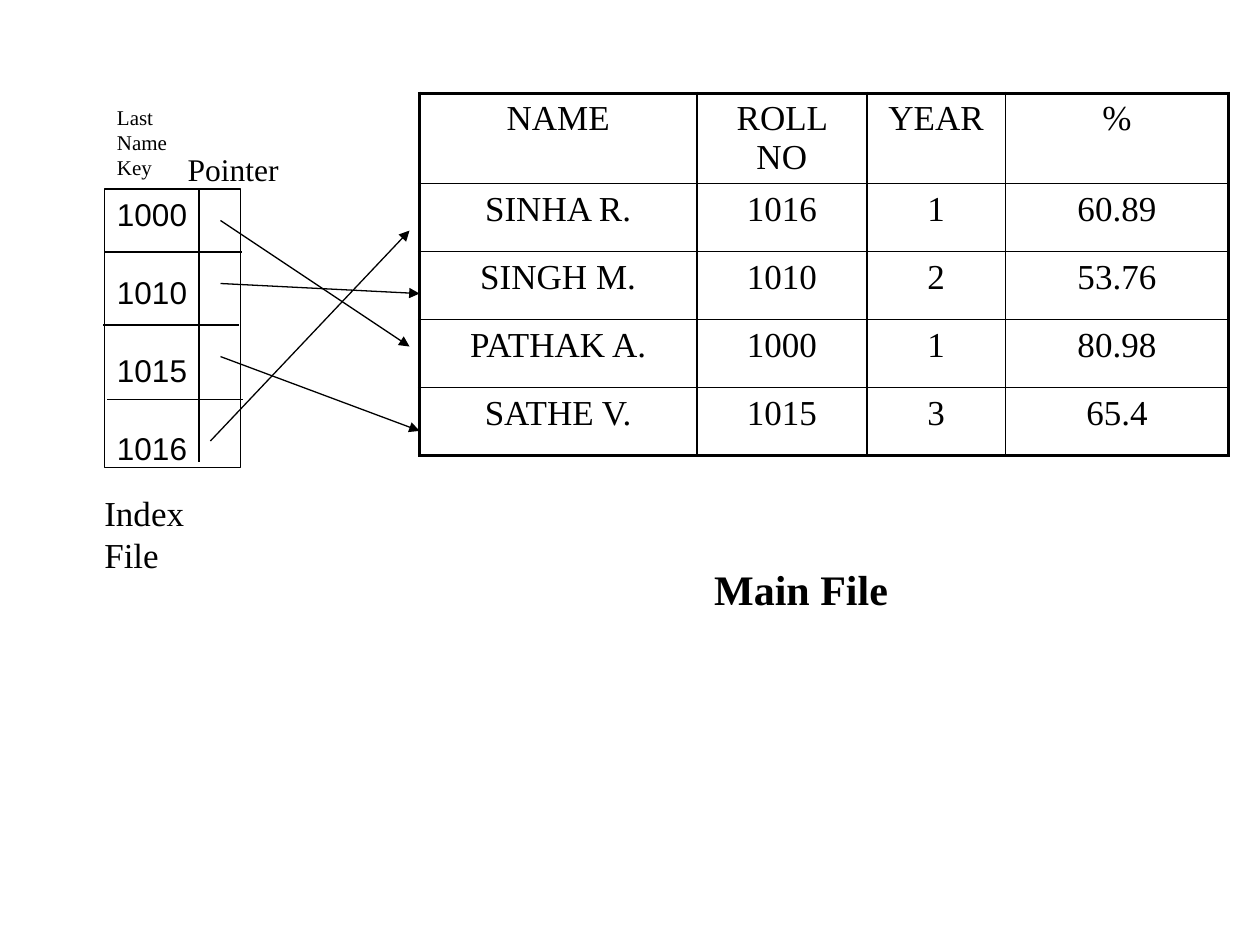
"""Builds a slide of an index file whose pointers lead into a main file."""
from dataclasses import dataclass

from lxml import etree
from pptx import Presentation
from pptx import util as u
from pptx.dml.color import RGBColor
from pptx.enum import shapes, text
from pptx.oxml import ns

BLACK = "000000"
SERIF = "Times New Roman"
ALIGN = text.PP_ALIGN
ANCHOR = text.MSO_ANCHOR


@dataclass
class Label:
    lines: list[str]
    box: tuple[float, float, float, float]
    size: float
    align: ALIGN = ALIGN.LEFT
    anchor: ANCHOR = ANCHOR.TOP
    wrap: bool = False
    bold: bool = False


@dataclass
class Line:
    start: tuple[float, float]
    end: tuple[float, float]
    arrow: bool = False


LABELS = [
    Label(["Main File"], (5.57, 4.42, 1.58, 0.5), 24, bold=True),
    Label(["Last", "Name", "Key"], (0.83, 0.78, 0.75, 0.71), 12, ALIGN.JUSTIFY, wrap=True),
    Label(["Pointer"], (1.39, 0.84, 0.92, 0.7), 18, ALIGN.CENTER, ANCHOR.BOTTOM),
    Label(["Index File"], (0.73, 3.85, 1.33, 0.43), 20),
]
KEYS = ["1000", "1010", "1015", "1016"]
LINES = [
    Line((1.58, 1.5), (1.58, 3.67)),
    Line((0.83, 2), (1.92, 2)),
    Line((0.82, 2.58), (1.9, 2.58)),
    Line((0.85, 3.17), (1.93, 3.17)),
    Line((1.75, 1.75), (3.25, 2.75), arrow=True),
    Line((1.75, 2.25), (3.33, 2.33), arrow=True),
    Line((1.75, 2.83), (3.33, 3.42), arrow=True),
    Line((1.67, 3.5), (3.25, 1.83), arrow=True),
]
RECORDS = [
    ["NAME", "ROLL NO", "YEAR", "%"],
    ["SINHA R.", "1016", "1", "60.89"],
    ["SINGH M.", "1010", "2", "53.76"],
    ["PATHAK A.", "1000", "1", "80.98"],
    ["SATHE V.", "1015", "3", "65.4"],
]
COLUMN_WIDTHS = [2.2, 1.35, 1.1, 1.77]
ROW_HEIGHTS = [0.71] + [0.54] * 4


def paint(color_format, color: str) -> None:
    color_format.rgb = RGBColor.from_string(color)


def write(tf, lines: list[str], size: float, font: str = SERIF, bold: bool = False,
          align: ALIGN = ALIGN.LEFT, gap: float = 0) -> None:
    for i, line in enumerate(lines):
        p = tf.paragraphs[0] if i == 0 else tf.add_paragraph()
        p.alignment = align
        if i and gap:
            p.space_before = u.Pt(gap)
        r = p.add_run()
        r.text = line
        for name, value in {"name": font, "size": u.Pt(size), "bold": bold}.items():
            setattr(r.font, name, value)
        paint(r.font.color, BLACK)


def add_label(s, label: Label) -> None:
    tf = s.shapes.add_textbox(*map(u.Inches, label.box)).text_frame
    formats = {"word_wrap": label.wrap, "vertical_anchor": label.anchor,
               "auto_size": text.MSO_AUTO_SIZE.SHAPE_TO_FIT_TEXT}
    for name, value in formats.items():
        setattr(tf, name, value)
    write(tf, label.lines, label.size, bold=label.bold, align=label.align)


def add_index(s) -> None:
    sp = s.shapes.add_shape(shapes.MSO_SHAPE.RECTANGLE, *map(u.Inches, (0.83, 1.5, 1.08, 2.21)))
    sp.shadow.inherit = False
    sp.fill.background()
    paint(sp.line.color, BLACK)
    sp.line.width = u.Pt(0.75)
    sp.text_frame.vertical_anchor = ANCHOR.TOP
    write(sp.text_frame, KEYS, 18, "Arial", gap=23)


def add_line(s, line: Line) -> None:
    cxn = s.shapes.add_connector(shapes.MSO_CONNECTOR.STRAIGHT,
                                 *map(u.Inches, line.start + line.end))
    paint(cxn.line.color, BLACK)
    cxn.line.width = u.Pt(0.75)
    if line.arrow:
        etree.SubElement(cxn.line._get_or_add_ln(), ns.qn("a:tailEnd"), type="triangle")
    etree.SubElement(cxn._element.spPr, ns.qn("a:effectLst"))


def set_borders(cell, outer: dict[str, bool]) -> None:
    tc_pr = cell._tc.get_or_add_tcPr()
    for i, (side, is_outer) in enumerate(outer.items()):
        ln = etree.Element(ns.qn(f"a:ln{side}"), w=str(u.Pt(2.25 if is_outer else 1)))
        fill = etree.SubElement(ln, ns.qn("a:solidFill"))
        etree.SubElement(fill, ns.qn("a:srgbClr"), val=BLACK)
        tc_pr.insert(i, ln)


def add_main_file(s) -> None:
    rows, cols = len(RECORDS), len(COLUMN_WIDTHS)
    box = (3.33, 0.74, sum(COLUMN_WIDTHS), sum(ROW_HEIGHTS))
    table = s.shapes.add_table(rows, cols, *map(u.Inches, box)).table
    table.first_row = table.horz_banding = False
    for column, width in zip(table.columns, COLUMN_WIDTHS):
        column.width = u.Inches(width)
    for row, height in zip(table.rows, ROW_HEIGHTS):
        row.height = u.Inches(height)
    for i, record in enumerate(RECORDS):
        for j, value in enumerate(record):
            cell = table.cell(i, j)
            cell.fill.background()
            write(cell.text_frame, [value], 20, align=ALIGN.CENTER)
            set_borders(cell, {"L": j == 0, "R": j == cols - 1,
                               "T": i == 0, "B": i == rows - 1})


def main() -> None:
    prs = Presentation()
    prs.slide_width, prs.slide_height = u.Inches(10), u.Inches(7.5)
    s = prs.slides.add_slide(prs.slide_layouts[6])
    add_main_file(s)
    add_index(s)
    for line in LINES:
        add_line(s, line)
    for label in LABELS:
        add_label(s, label)
    prs.save("out.pptx")


if __name__ == "__main__":
    main()
